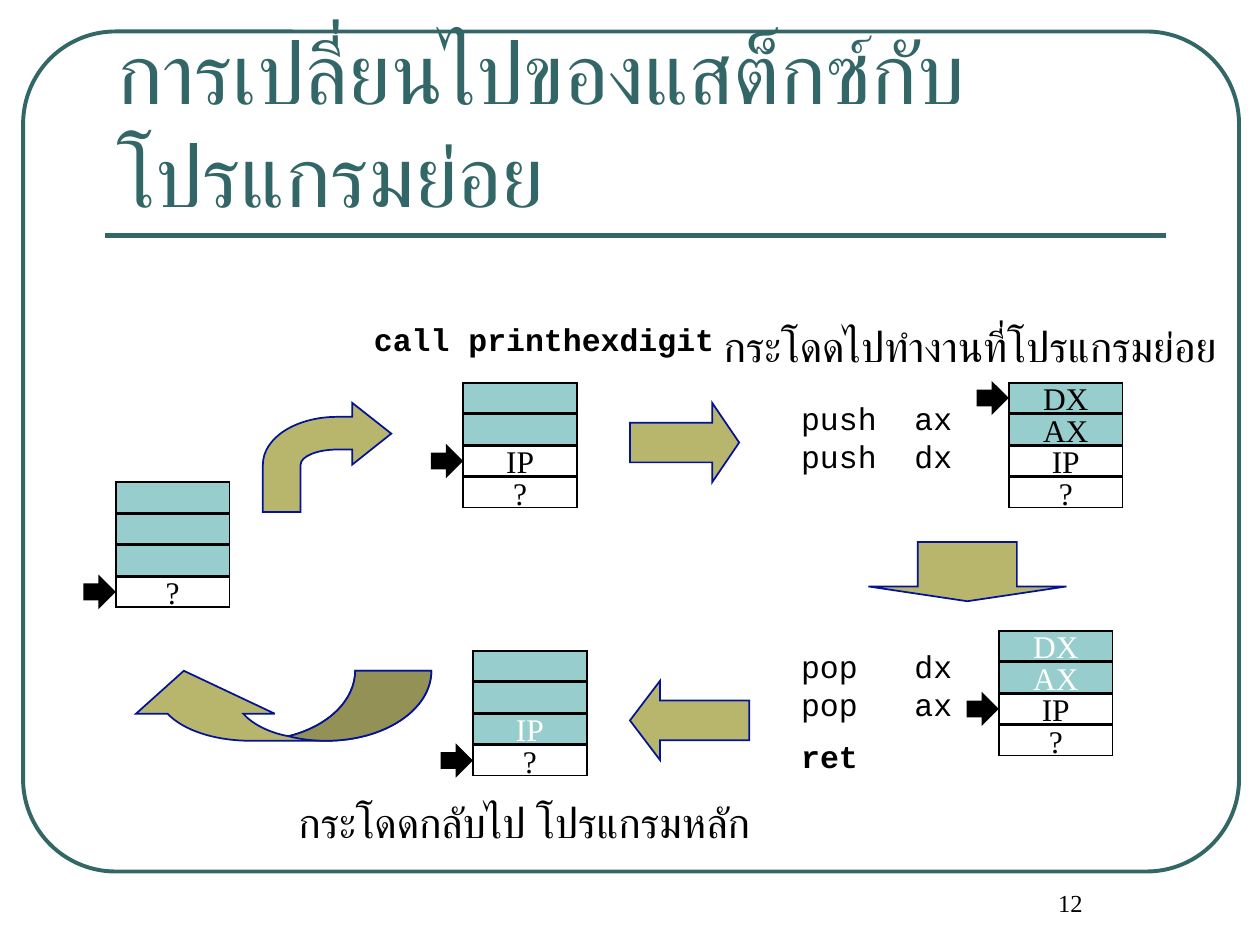
import lxml.etree
import pptx
import pptx.util
import pptx.dml.color
import pptx.enum.lang
import pptx.enum.shapes
import pptx.enum.text
import pptx.oxml.ns

Pt = pptx.util.Pt
RGBColor = pptx.dml.color.RGBColor
SHAPE = pptx.enum.shapes.MSO_SHAPE
ANCHOR = pptx.enum.text.MSO_ANCHOR
ALIGN = pptx.enum.text.PP_ALIGN
THAI = pptx.enum.lang.MSO_LANGUAGE_ID.THAI
qn = pptx.oxml.ns.qn

GREEN = RGBColor(0x33, 0x66, 0x66)
TEAL = RGBColor(0x97, 0xCD, 0xCC)
OLIVE = RGBColor(0xB8, 0xB6, 0x6C)
NAVY = RGBColor(0x04, 0x12, 0x96)
BLACK = RGBColor(0, 0, 0)
WHITE = RGBColor(0xFF, 0xFF, 0xFF)

SERIF, MONO, SANS = "Times New Roman", "Courier New", "Arial"
CELL_W, CELL_H, PITCH = 65, 17.2, 18


def add_xml(parent, tag, **attributes):
    """Append a drawing element and return it."""
    names = {name: str(value) for name, value in attributes.items()}
    return lxml.etree.SubElement(parent, qn(tag), names)


def add_box(s, kind, box, fill, line, width=1, adjustments=()):
    """Add a flat preset shape in the box (left, top, width, height)."""
    sp = s.shapes.add_shape(kind, *map(Pt, box))
    sp.shadow.inherit = False
    if fill is None:
        sp.fill.background()
    else:
        sp.fill.solid()
        sp.fill.fore_color.rgb = fill
    sp.line.color.rgb = line
    sp.line.width = Pt(width)
    add_xml(sp._element.spPr.find(qn("a:ln")), "a:miter", lim=800000)
    for i, value in enumerate(adjustments):
        sp.adjustments[i] = value
    return sp


def add_text(s, box, lines, size, font, **style):
    """Add a text box and return it."""
    sp = s.shapes.add_textbox(*map(Pt, box))
    write(sp, lines, size, font, **style)
    return sp


def write(sp, lines, size, font, color=BLACK, bold=False, align=ALIGN.LEFT,
          anchor=ANCHOR.TOP, wrap=False, lang=None):
    """Write lines of text into a shape and format them."""
    tf = sp.text_frame
    tf.text = "\n".join(lines)
    tf.word_wrap = wrap
    tf.vertical_anchor = anchor
    for p in tf.paragraphs:
        p.alignment = align
        for r in p.runs:
            r.font.size = Pt(size)
            r.font.name = font
            r.font.bold = bold
            r.font.color.rgb = color
            if lang:
                r.font.language_id = lang


def add_frame(s, left, top, width, height):
    """Draw the rounded frame and the rule under the title."""
    add_box(s, SHAPE.ROUNDED_RECTANGLE, (left, top, width, height),
            None, GREEN, 2.25, [0.11])
    y = top + 116.6
    rule = s.shapes.add_connector(
        pptx.enum.shapes.MSO_CONNECTOR.STRAIGHT,
        Pt(left + 46.8), Pt(y), Pt(left + 653), Pt(y))
    rule.line.color.rgb = GREEN
    rule.line.width = Pt(3)
    add_xml(rule._element.spPr, "a:effectLst")


def add_stack(s, left, top, cells, pointer, teal_text=BLACK):
    """Draw a stack of cells and the pointer beside one row."""
    for row, (label, fill) in enumerate(cells):
        sp = add_box(s, SHAPE.RECTANGLE,
                     (left, top + row * PITCH, CELL_W, CELL_H), fill, BLACK)
        if label:
            write(sp, [label], 18, SERIF, align=ALIGN.CENTER, anchor=ANCHOR.MIDDLE,
                  color=teal_text if fill == TEAL else BLACK)
    add_box(s, SHAPE.RIGHT_ARROW,
            (left - PITCH, top + pointer * PITCH, CELL_H, CELL_H), BLACK, BLACK)


def add_outline(s, box, paths):
    """Draw shaded paths of points and cubic curves relative to the box."""
    sp = add_box(s, SHAPE.RECTANGLE, box, OLIVE, NAVY)
    preset = sp._element.spPr.find(qn("a:prstGeom"))
    geometry = lxml.etree.Element(qn("a:custGeom"))
    preset.getparent().replace(preset, geometry)
    for name in ("avLst", "gdLst", "ahLst", "cxnLst"):
        add_xml(geometry, "a:" + name)
    add_xml(geometry, "a:rect", l="0", t="0", r="r", b="b")
    path_list = add_xml(geometry, "a:pathLst")
    for shade, steps in paths:
        outline = add_xml(path_list, "a:path", w=Pt(box[2]), h=Pt(box[3]), fill=shade)
        for i, step in enumerate(steps):
            tag = "a:moveTo" if i == 0 else "a:lnTo" if len(step) == 2 else "a:cubicBezTo"
            command = add_xml(outline, tag)
            for x, y in zip(step[::2], step[1::2]):
                add_xml(command, "a:pt", x=Pt(x), y=Pt(y))
        add_xml(outline, "a:close")


def add_bent_arrow(s, left, top):
    """Draw the arrow that turns from up to right."""
    add_outline(s, (left, top, 73.4, 62.4), [("norm", [
        (0, 62.4), (0, 35.3), (0, 20.2, 18.7, 8, 42.5, 8), (51.1, 8), (51.1, 0),
        (73.4, 17.6), (51.1, 35.3), (51.1, 26.7), (42.5, 26.7),
        (31, 26.7, 21.6, 30.6, 21.6, 35.3), (21.6, 62.4)])])


def add_return_arrow(s, left, top):
    """Draw the curved arrow back to the first stack."""
    outer = [(181.7, 0), (181.7, 22.3, 154.8, 40, 121.7, 40)]
    inner = (123.1, 31.7, 138.2, 16.6, 138.2, 0)
    add_outline(s, (left, top, 181.7, 40), [
        ("norm", outer + [
            (78.5, 40), (57.6, 40, 39.6, 33.8, 31, 24.5), (13, 24.5), (40.3, 0),
            (92.2, 24.5), (74.2, 24.5), (79.2, 30.2, 88.6, 35.3, 100.1, 37.4), inner]),
        ("darkenLess", outer + [(114.5, 40, 107.3, 39.3, 100.1, 37.4), inner])])


def main():
    """Build the slide and save it."""
    prs = pptx.Presentation()
    prs.slide_width, prs.slide_height = Pt(720), Pt(540)
    s = prs.slides.add_slide(prs.slide_layouts[6])

    add_frame(s, 13.2, 18, 694.8, 480)
    add_text(s, (59.8, 41.8, 606.2, 90), ["การเปลี่ยนไปของแสต็กซ์กับโปรแกรมย่อย"], 49, SANS,
             color=GREEN, anchor=ANCHOR.BOTTOM, wrap=True, lang=THAI)

    free, unknown, saved_ip = ("", TEAL), ("?", WHITE), ("IP", WHITE)
    registers = [("DX", TEAL), ("AX", TEAL)]
    add_stack(s, 66.2, 275.6, [free] * 3 + [unknown], 3)
    add_stack(s, 264.7, 218.8, [free] * 2 + [saved_ip, unknown], 2)
    add_bent_arrow(s, 150.2, 230.2)
    add_stack(s, 576.5, 218.8, registers + [saved_ip, unknown], 0)
    add_stack(s, 570.8, 360.5, registers + [saved_ip, unknown], 2, WHITE)
    add_stack(s, 270.3, 372, [free] * 2 + [("IP", TEAL), unknown], 3, WHITE)

    for kind, box, head in (
            (SHAPE.RIGHT_ARROW, (360, 230.2, 62.4, 45.4), 0.34),
            (SHAPE.DOWN_ARROW, (496.2, 309.8, 113.2, 33.8), 0.25),
            (SHAPE.LEFT_ARROW, (360, 389, 68.2, 45.4), 0.38)):
        add_box(s, kind, box, OLIVE, NAVY, adjustments=[0.5, head])
    add_return_arrow(s, 64.8, 383.3)

    for box, lines, bold in (
            ((206.6, 179.3, 208.8, 28.8), ["call printhexdigit"], True),
            ((450.7, 224.6, 100.8, 50.4), ["push  ax", "push  dx"], False),
            ((450.7, 366.3, 100.8, 50.4), ["pop   dx", "pop   ax"], False),
            ((450.7, 417.6, 46.8, 28.8), ["ret"], True)):
        add_text(s, box, lines, 18, MONO, bold=bold)
    for box, line in (
            ((406.5, 179.5, 297.4, 36), "กระโดดไปทำงานที่โปรแกรมย่อย"),
            ((163.4, 451.4, 273.6, 36), "กระโดดกลับไป โปรแกรมหลัก")):
        add_text(s, box, [line], 24, SERIF, lang=THAI)

    number = add_text(s, (540, 504, 126, 36), ["12"], 14, SERIF,
                      align=ALIGN.CENTER, wrap=True)
    number.text_frame.margin_left = Pt(24.5)
    prs.save("out.pptx")


if __name__ == "__main__":
    main()
